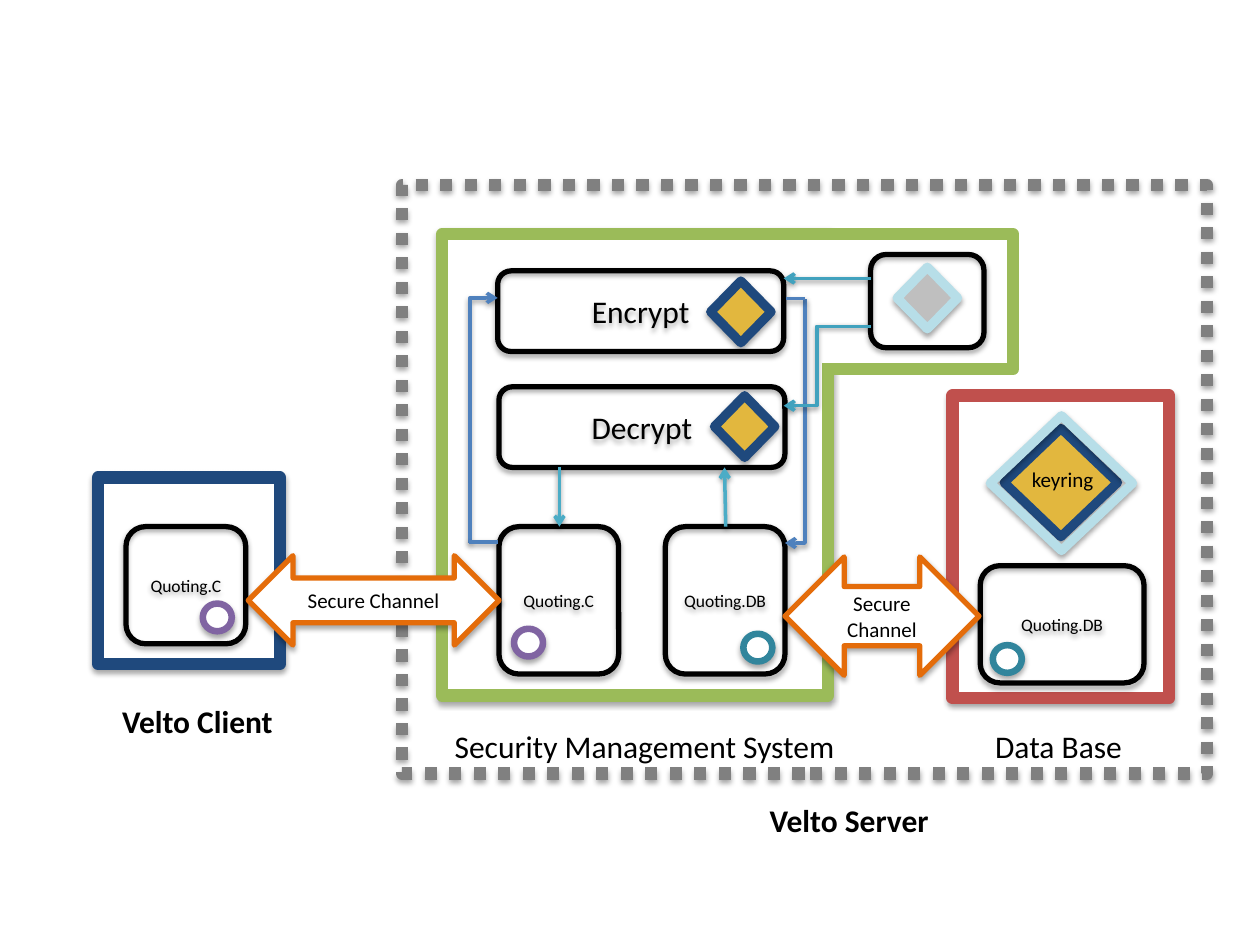
from lxml import etree
from pptx import Presentation
from pptx import util as u
from pptx.dml.color import RGBColor
from pptx.enum import dml, shapes, text
from pptx.oxml import parse_xml
from pptx.oxml.ns import nsdecls, qn

COLS, ROWS = 100, 75  # grid over the slide
SLIDE_W, SLIDE_H = u.Inches(10), u.Inches(7.5)
S = shapes.MSO_SHAPE


class Theme:
    font = "Calibri"
    white, black, gray, silver = "FFFFFF", "000000", "808080", "BFBFBF"
    navy, red, green, orange = "1F497D", "C0504D", "9BBB59", "E46C0A"
    blue, aqua, cyan, pale = "4F81BD", "4BACC6", "41A2BE", "B7DEE8"
    purple, teal, gold = "8064A2", "31859C", "E2B73E"
    title, label, small = 18, 12, 10
    frame, key, ring, box, wire = 7, 5.25, 3.75, 3, 2


def col(n):
    return round(SLIDE_W * n / COLS)


def row(n):
    return round(SLIDE_H * n / ROWS)


def area(x, y, w, h):
    return col(x), row(y), col(w), row(h)


def rgb(value):
    return RGBColor.from_string(value)


def set_effects(sp, alpha=None, dist=1.8):
    """Give the element a soft shadow below it, or none."""
    pr = sp._element.spPr
    for old in pr.findall(qn("a:effectLst")):
        pr.remove(old)
    shadow = ""
    if alpha:
        shadow = (f'<a:outerShdw blurRad="{u.Pt(3.1)}" dist="{u.Pt(dist)}" dir="5400000" '
                  f'rotWithShape="0"><a:srgbClr val="{Theme.black}">'
                  f'<a:alpha val="{alpha * 1000}"/></a:srgbClr></a:outerShdw>')
    pr.append(parse_xml(f'<a:effectLst {nsdecls("a")}>{shadow}</a:effectLst>'))


def write(tf, words, size, bold=False, align=None):
    p = tf.paragraphs[0]
    p.text = words
    p.alignment = align
    p.font.name, p.font.size, p.font.bold = Theme.font, u.Pt(size), bold
    p.font.color.rgb = rgb(Theme.black)


def add_figure(s, kind, at, line, width, fill=None, words="", size=Theme.small, shadow=True):
    sp = s.shapes.add_shape(kind, *area(*at))
    if fill:
        sp.fill.solid()
        sp.fill.fore_color.rgb = rgb(fill)
    else:
        sp.fill.background()
    sp.line.color.rgb = rgb(line)
    sp.line.width = u.Pt(width)
    set_effects(sp, 35 if shadow else None)
    if words:
        tf = sp.text_frame
        tf.vertical_anchor = text.MSO_ANCHOR.MIDDLE
        write(tf, words, size, align=text.PP_ALIGN.CENTER)
    return sp


def add_frame(s, at, color, shadow=True):
    return add_figure(s, S.RECTANGLE, at, color, Theme.frame, Theme.white, shadow=shadow)


def add_box(s, at, words="", size=Theme.small):
    add_figure(s, S.ROUNDED_RECTANGLE, at, Theme.black, Theme.box, words=words, size=size)


def add_channel(s, at):
    add_figure(s, S.LEFT_RIGHT_ARROW, at, Theme.orange, Theme.box, Theme.white,
               "Secure Channel", Theme.label)


def add_key(s, at, fill=Theme.gold, line=Theme.navy):
    add_figure(s, S.DIAMOND, at, line, Theme.key, fill)


def add_ring(s, x, y, color):
    add_figure(s, S.OVAL, (x, y, 2.3, 2.2), color, Theme.ring, Theme.white)


def add_label(s, at, words, size=Theme.title, bold=False):
    tf = s.shapes.add_textbox(*area(*at)).text_frame
    tf.word_wrap = True
    tf.auto_size = text.MSO_AUTO_SIZE.SHAPE_TO_FIT_TEXT
    write(tf, words, size, bold)


def add_wire(s, start, end, color, arrow=None, bend=None):
    """Draw a line; bend is the share of the width at which it turns."""
    kind = shapes.MSO_CONNECTOR.STRAIGHT if bend is None else shapes.MSO_CONNECTOR.ELBOW
    c = s.shapes.add_connector(kind, col(start[0]), row(start[1]), col(end[0]), row(end[1]))
    c.line.color.rgb = rgb(color)
    c.line.width = u.Pt(Theme.wire)
    pr = c._element.spPr
    if arrow:
        etree.SubElement(pr.find(qn("a:ln")), qn(f"a:{arrow}End"), type="arrow")
    if bend is not None:
        guides = pr.find(qn("a:prstGeom")).get_or_add_avLst()
        etree.SubElement(guides, qn("a:gd"), name="adj1", fmla=f"val {round(bend * 100000)}")
    set_effects(c, 38, 1.6)


def main():
    prs = Presentation()
    prs.slide_width, prs.slide_height = SLIDE_W, SLIDE_H
    s = prs.slides.add_slide(prs.slide_layouts[6])

    # Server boundary and the frames of the three systems
    server = add_figure(s, S.RECTANGLE, (31.9, 14.7, 63.9, 46.7), Theme.gray, Theme.frame)
    server.line.dash_style = dml.MSO_LINE.ROUND_DOT
    add_frame(s, (35.1, 18.6, 30.6, 36.6), Theme.green)
    add_frame(s, (7.8, 37.9, 14.4, 14.8), Theme.navy)
    add_frame(s, (75.6, 31.4, 17.2, 24), Theme.red)

    # Modules
    add_box(s, (39.5, 21.5, 22.7, 6.4), "Encrypt", Theme.title)
    add_box(s, (39.6, 30.7, 22.7, 6.4), "Decrypt", Theme.title)
    add_box(s, (39.6, 41.8, 9.5, 11.7), "Quoting.C")
    add_box(s, (52.8, 41.8, 9.5, 11.7), "Quoting.DB")
    add_box(s, (10, 41.8, 9.5, 9.3), "Quoting.C")
    add_box(s, (77.8, 44.9, 13, 9.3), "Quoting.DB")

    # Names of the systems
    add_label(s, (8.7, 55.2, 16.9, 4), "Velto Client", bold=True)
    add_label(s, (35.1, 57.2, 40.5, 4), "Security Management System")
    add_label(s, (78, 57.2, 20.3, 4), "Data Base")
    add_label(s, (60.1, 63.1, 20.8, 4), "Velto Server", bold=True)

    # Channels between the systems
    add_channel(s, (62.3, 44.2, 15.4, 9.4))
    add_channel(s, (19.7, 44.1, 19.9, 7.1))

    # Wires between quoting modules and Encrypt / Decrypt
    add_wire(s, (37.3, 43.1), (39.5, 23.65), Theme.blue, "tail", bend=0)
    add_wire(s, (37.2, 43), (39.5, 43), Theme.blue)
    add_wire(s, (62.3, 43.1), (63.9, 23.7), Theme.blue, "head", bend=1)
    add_wire(s, (62.4, 23.7), (63.9, 23.7), Theme.blue)
    add_wire(s, (57.6, 41.8), (57.5, 37.1), Theme.aqua, "tail")
    add_wire(s, (44.4, 37.1), (44.4, 41.8), Theme.aqua, "tail")

    # Keys, and rings marking the matching quoting modules
    add_key(s, (79.7, 34, 9, 8.6))
    add_key(s, (56.4, 22.3, 4.8, 4.9))
    add_key(s, (56.7, 31.4, 4.8, 4.9))
    for x, y, color in ((16.1, 47.9, Theme.purple), (40.8, 49.9, Theme.purple),
                        (59, 50.3, Theme.teal), (78.8, 51.2, Theme.teal)):
        add_ring(s, x, y, color)
    add_label(s, (80.9, 36.5, 10.1, 3), "keyring", Theme.label)
    add_key(s, (78.6, 33, 11.3, 10.7), None, Theme.pale)

    # Side bay of the management system, its shared edge opened in white
    add_frame(s, (65.7, 18.6, 14.7, 10.7), Theme.green, shadow=False)
    add_frame(s, (65.3, 19.55, 1.1, 8.8), Theme.white, shadow=False)
    add_box(s, (69.1, 20.2, 9, 7.4))
    add_wire(s, (69.1, 22.1), (62.2, 22.1), Theme.cyan, "tail")
    add_wire(s, (69.1, 25.9), (62.2, 32.2), Theme.cyan, "tail", bend=0.62)
    add_key(s, (71.2, 21.2, 4.8, 4.9), Theme.silver, Theme.pale)

    prs.save("out.pptx")


if __name__ == "__main__":
    main()
